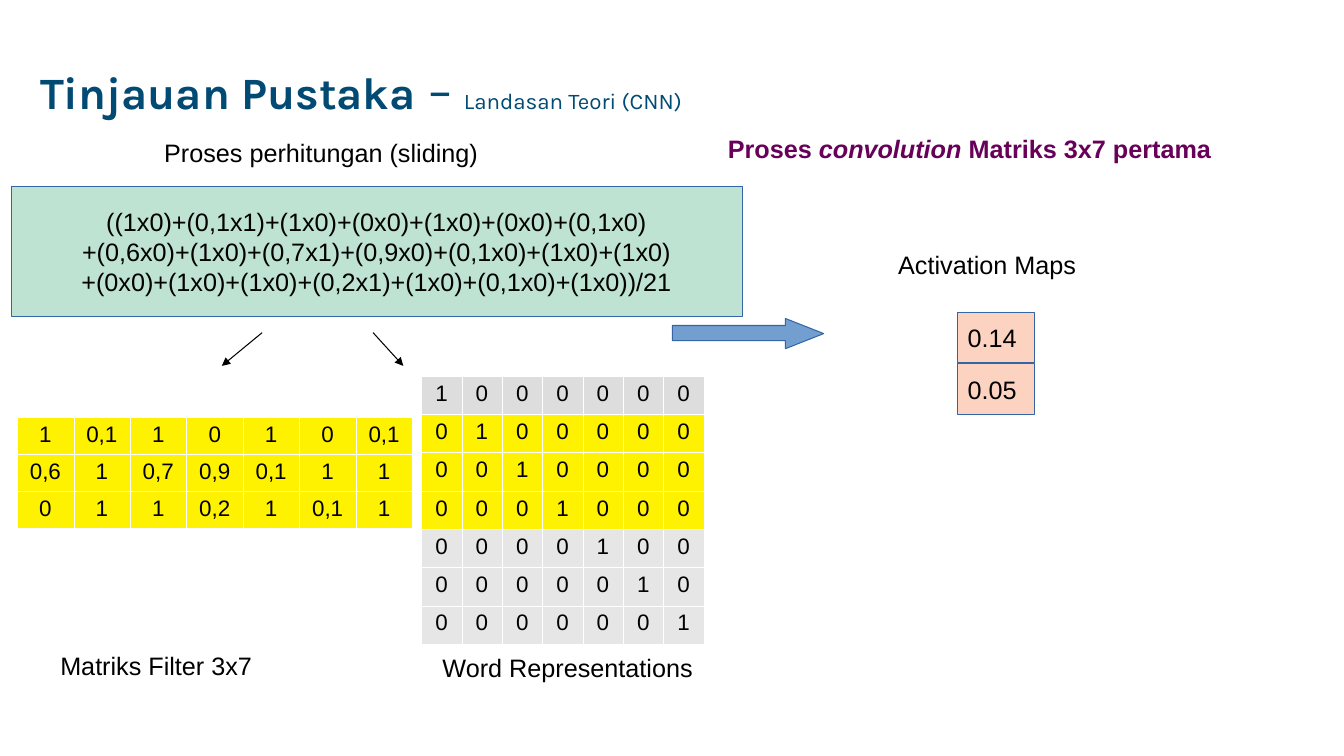
from pptx import Presentation
from pptx.dml.color import RGBColor
from pptx.enum.shapes import MSO_CONNECTOR, MSO_SHAPE
from pptx.enum.text import MSO_ANCHOR, PP_ALIGN
from pptx.oxml.ns import qn
from pptx.util import Pt
from lxml import etree

PX = 9144  # 100 px to the inch
BLACK = RGBColor(0x00, 0x00, 0x00)
NAVY = RGBColor(0x01, 0x4A, 0x73)
PURPLE = RGBColor(0x68, 0x00, 0x59)
MINT = RGBColor(0xBE, 0xE3, 0xD3)
PEACH = RGBColor(0xFC, 0xD3, 0xC1)
BLUE = RGBColor(0x72, 0x9F, 0xCF)
OUTLINE = RGBColor(0x34, 0x65, 0xA4)
YELLOW = RGBColor(0xFF, 0xF2, 0x00)
GREY = RGBColor(0xDD, 0xDD, 0xDD)
LIGHT_GREY = RGBColor(0xE6, 0xE6, 0xE6)
RECTANGLE = MSO_SHAPE.RECTANGLE
STRAIGHT = MSO_CONNECTOR.STRAIGHT
LEFT, CENTER = PP_ALIGN.LEFT, PP_ALIGN.CENTER
TOP, MIDDLE = MSO_ANCHOR.TOP, MSO_ANCHOR.MIDDLE
BODY = {"name": "Arial", "size": Pt(18)}


def write(frame, lines, align=LEFT, anchor=TOP, wrap=True):
    """Fill a frame; each line is a list of (text, colour, format) spans."""
    frame.word_wrap = wrap
    frame.vertical_anchor = anchor
    for index, spans in enumerate(lines):
        para = frame.add_paragraph() if index else frame.paragraphs[0]
        para.alignment = align
        for text, colour, values in spans:
            span = para.add_run()
            span.text = text
            span.font.color.rgb = colour
            for key, value in values.items():
                setattr(span.font, key, value)


def add_matrix(left, top, column_width, row_height, rows, fills):
    """Draw a table with one fill per row and hairline white borders."""
    count = len(rows[0])
    table = page.shapes.add_table(
        len(rows), count, left * PX, top * PX,
        round(column_width * count * PX), row_height * len(rows) * PX).table
    table.first_row = table.horz_banding = False
    for row, values, fill in zip(table.rows, rows, fills):
        row.height = row_height * PX
        for cell, value in zip(row.cells, values):
            properties = cell._tc.get_or_add_tcPr()
            for side in ("a:lnL", "a:lnR", "a:lnT", "a:lnB"):
                border = etree.SubElement(properties, qn(side), w="762")
                solid = etree.SubElement(border, qn("a:solidFill"))
                etree.SubElement(solid, qn("a:srgbClr"), val="FFFFFF")
            cell.fill.solid()
            cell.fill.fore_color.rgb = fill
            write(cell.text_frame,
                  [[(value, BLACK, {"name": "Arial", "size": Pt(16)})]], CENTER)


deck = Presentation()
deck.slide_width, deck.slide_height = 1333 * PX, 750 * PX
page = deck.slides.add_slide(deck.slide_layouts[6])

# Title
title = page.shapes.add_textbox(30 * PX, 20 * PX, 750 * PX, 145 * PX)
write(title.text_frame, [[
    ("Tinjauan Pustaka", NAVY, {"name": "Karla", "size": Pt(32), "bold": True}),
    (" – ", NAVY, {"name": "Karla", "size": Pt(36)}),
    ("Landasan Teori (CNN)", NAVY, {"name": "Karla", "size": Pt(16)}),
]], anchor=MIDDLE)
title.text_frame.paragraphs[0].line_spacing = 0.9

# Word representations: one-hot rows, with the filter window in yellow
one_hot = [["1" if row == column else "0" for column in range(7)]
           for row in range(7)]
add_matrix(418, 373, 40, 38, one_hot,
           [GREY] + [YELLOW] * 3 + [LIGHT_GREY] * 3)

# Filter matrix
filter_rows = [line.split() for line in (
    "1 0,1 1 0 1 0 0,1", "0,6 1 0,7 0,9 0,1 1 1", "0 1 1 0,2 1 0,1 1")]
add_matrix(17, 414, 56, 35, filter_rows, [YELLOW] * 3)

# Formula box and activation values
formula = ["((1x0)+(0,1x1)+(1x0)+(0x0)+(1x0)+(0x0)+(0,1x0)",
           "+(0,6x0)+(1x0)+(0,7x1)+(0,9x0)+(0,1x0)+(1x0)+(1x0)",
           "+(0x0)+(1x0)+(1x0)+(0,2x1)+(1x0)+(0,1x0)+(1x0))/21"]
for left, top, width, height, fill, lines, align in (
        (11, 185, 725, 129, MINT, formula, CENTER),
        (950, 310, 76, 50, PEACH, ["0.14"], LEFT),
        (950, 361, 76, 50, PEACH, ["0.05"], LEFT)):
    box = page.shapes.add_shape(
        RECTANGLE, left * PX, top * PX, width * PX, height * PX)
    box.shadow.inherit = False
    box.fill.solid()
    box.fill.fore_color.rgb = fill
    box.line.color.rgb = OUTLINE
    box.line.width = Pt(0.75)
    write(box.text_frame, [[(line, BLACK, BODY)] for line in lines],
          align, MIDDLE, False)

# Block arrow to the activation maps
builder = page.shapes.build_freeform(667, 323, scale=PX)
builder.add_line_segments([(779, 323), (779, 316), (817, 331), (779, 346),
                           (779, 338), (667, 338)], close=True)
block_arrow = builder.convert_to_shape()
block_arrow.shadow.inherit = False
block_arrow.fill.solid()
block_arrow.fill.fore_color.rgb = BLUE
block_arrow.line.color.rgb = OUTLINE
block_arrow.line.width = Pt(0.75)

# Thin arrows from the formula to the two matrices
for start, end in ((260, 220), (370, 400)):
    arrow = page.shapes.add_connector(
        STRAIGHT, start * PX, 330 * PX, end * PX, 363 * PX)
    arrow.line.color.rgb = BLACK
    arrow.line.width = Pt(0.75)
    etree.SubElement(arrow.line._get_or_add_ln(), qn("a:tailEnd"), type="triangle")
    etree.SubElement(arrow._element.spPr, qn("a:effectLst"))

# Labels and heading
heading = [("Proses ", PURPLE, {**BODY, "bold": True}),
           ("convolution", PURPLE, {**BODY, "bold": True, "italic": True}),
           (" Matriks 3x7 pertama", PURPLE, {**BODY, "bold": True})]
for left, top, width, height, spans in (
        (50, 640, 250, 38, [("Matriks Filter 3x7", BLACK, BODY)]),
        (429, 642, 321, 38, [("Word Representations", BLACK, BODY)]),
        (153, 131, 377, 38, [("Proses perhitungan (sliding)", BLACK, BODY)]),
        (881, 242, 229, 38, [("Activation Maps", BLACK, BODY)]),
        (712, 127, 615, 66, heading)):
    label = page.shapes.add_textbox(left * PX, top * PX, width * PX, height * PX)
    write(label.text_frame, [spans])

deck.save("out.pptx")
